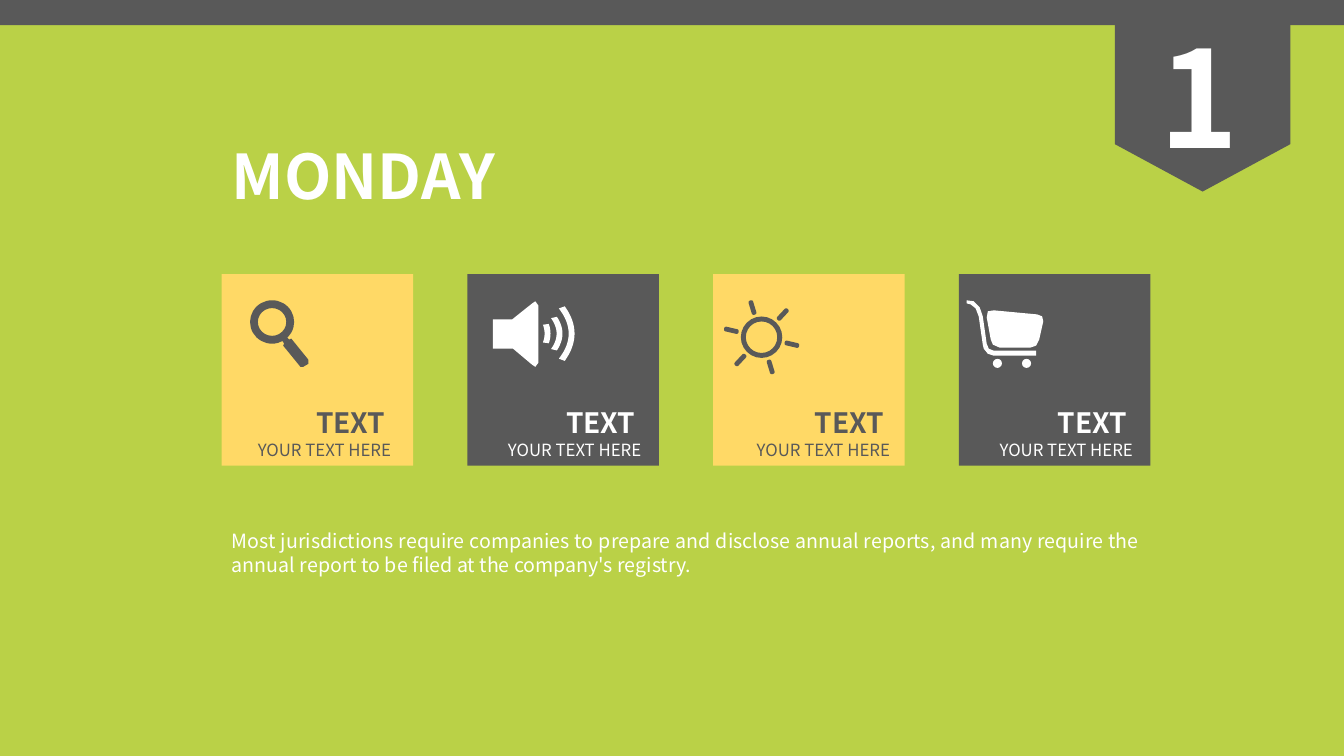
from math import cos, radians, sin

from pptx import Presentation
from pptx.dml.color import RGBColor
from pptx.enum.shapes import MSO_SHAPE as Kind
from pptx.enum.text import MSO_ANCHOR as Anchor, MSO_AUTO_SIZE as Fit, PP_ALIGN as Align
from pptx.oxml.xmlchemy import OxmlElement as Element
from pptx.util import Pt

LIME = RGBColor(0xBA, 0xD1, 0x47)
GOLD = RGBColor(0xFF, 0xD9, 0x66)
GREY = RGBColor(0x59, 0x59, 0x59)
WHITE = RGBColor(0xFF, 0xFF, 0xFF)
FONT = "Noto Sans CJK SC"

# Icon outlines, in points from the corner of their card
GRIP = [(49.7, 46.1), (48.2, 46.8), (46.8, 45.4), (43.2, 47.5), (44.6, 49.7),
        (43.9, 51.1), (56.2, 66.2), (58.3, 66.2), (61.9, 64.1), (61.9, 61.2)]
HORN = [(18.2, 32.4), (31.9, 32.4), (46.3, 20.9), (48.5, 19.4), (50.6, 22.3),
        (50.6, 63.4), (48.5, 66.2), (46.3, 64.8), (32.6, 53.3), (18.2, 53.3)]
FRAME = [(5.5, 18.7), (10.6, 19.4), (14.9, 23.8), (17.1, 30.2), (19.9, 49.7),
         (21.4, 53.3), (25, 54.7), (55.2, 54.7), (55.2, 58.3), (25, 58.3),
         (20.7, 56.9), (17.8, 53.3), (17.1, 50.4), (14.2, 30.2), (12, 24.5),
         (8.4, 21.6), (5.5, 20.9)]
BASKET = [(19.9, 31), (20.7, 26.6), (25, 25.9), (55.9, 28.8), (59.5, 30.2),
          (60.3, 33.8), (57.4, 46.8), (55.2, 51.1), (50.9, 52.6), (29.3, 52.6),
          (24.3, 50.4), (22.8, 46.8)]


class Deck:
    def __init__(self, width, height):
        self.prs = Presentation()
        self.prs.slide_width, self.prs.slide_height = Pt(width), Pt(height)
        self.slide = self.prs.slides.add_slide(self.prs.slide_layouts[1])
        self.slide.background.fill.solid()
        self.slide.background.fill.fore_color.rgb = LIME

    def paint(self, shape, color):
        shape.shadow.inherit = False
        shape.fill.solid()
        shape.fill.fore_color.rgb = color
        shape.line.fill.background()
        return shape

    def shape(self, kind, x, y, w, h, color, turn=0, adj=None):
        item = self.slide.shapes.add_shape(kind, Pt(x), Pt(y), Pt(w), Pt(h))
        item.rotation = turn
        if adj is not None:
            item.adjustments[0] = adj
        return self.paint(item, color)

    def outline(self, x, y, points, color):
        spots = [(Pt(x + a), Pt(y + b)) for a, b in points]
        pen = self.slide.shapes.build_freeform(*spots[0])
        pen.add_line_segments(spots[1:], close=True)
        return self.paint(pen.convert_to_shape(), color)

    def letter(self, box, text, size, color, bold=False, align=Align.LEFT, wrap=False):
        frame = box.text_frame
        frame.text = text
        frame.word_wrap = wrap
        frame.auto_size = Fit.NONE
        frame.vertical_anchor = Anchor.TOP
        para = frame.paragraphs[0]
        para.alignment = align
        para.space_before = Pt(0)
        font = para.font
        font.name, font.size, font.bold = FONT, Pt(size), bold
        font.color.rgb = color
        return para

    def label(self, x, y, w, h, *args, **style):
        box = self.slide.shapes.add_textbox(Pt(x), Pt(y), Pt(w), Pt(h))
        self.letter(box, *args, **style)

    def fill(self, index, x, y, w, h, *args, **style):
        box = self.slide.placeholders[index]
        box.left, box.top, box.width, box.height = Pt(x), Pt(y), Pt(w), Pt(h)
        return self.letter(box, *args, **style)

    def card(self, x, y, side, back, ink, mid, icon):
        self.shape(Kind.RECTANGLE, x, y, side, side, back)
        icon(self, x, y, ink)
        self.label(x + mid - 17.3, y + 90, 72, 31.7, "TEXT", 20, ink,
                   bold=True, align=Align.CENTER)
        self.label(x + mid - 57.6, y + 114.5, 115.2, 21.6, "YOUR TEXT HERE", 12, ink,
                   align=Align.CENTER)


def lens(deck, x, y, ink):
    deck.shape(Kind.DONUT, x + 20.2, y + 18.7, 31.5, 31, ink, adj=0.18)
    deck.outline(x, y, GRIP, ink)


def sound(deck, x, y, ink):
    deck.outline(x, y, HORN, ink)
    steps = [i / 8 for i in range(-8, 9)]
    # Each wave: right edge, half height, bulge
    for right, half, bulge in ((59.3, 6.9, 1.2), (67.9, 12, 4), (76.5, 19.5, 7)):
        outer = [(right - bulge * t * t, 42.5 + half * t) for t in steps]
        inner = [(a - 4.2, 42.5 + (b - 42.5) * 0.92) for a, b in reversed(outer)]
        deck.outline(x, y, outer + inner, ink)


def sun(deck, x, y, ink):
    mid_x, mid_y = x + 34.6, y + 45.1
    deck.shape(Kind.DONUT, mid_x - 14.8, mid_y - 14.8, 29.6, 29.6, ink, adj=0.12)
    for turn in range(13, 360, 60):
        ray_x = mid_x + 22.2 * cos(radians(turn))
        ray_y = mid_y + 22.2 * sin(radians(turn))
        deck.shape(Kind.ROUNDED_RECTANGLE, ray_x - 5.3, ray_y - 1.7, 10.6, 3.4,
                   ink, turn, 0.4)


def cart(deck, x, y, ink):
    for wheel in (24.3, 45.1):
        deck.shape(Kind.OVAL, x + wheel, y + 60.5, 6.5, 6.5, ink)
    for points in (FRAME, BASKET):
        deck.outline(x, y, points, ink)


def main():
    deck = Deck(960, 540)

    # Title and body
    deck.fill(0, 158.4, 95, 227.5, 60.5, "MONDAY", 44, WHITE, bold=True)
    para = deck.fill(1, 158.4, 374.4, 663.1, 41,
                     "Most jurisdictions require companies to prepare and disclose "
                     "annual reports, and many require the annual report to be filed "
                     "at the company's registry.",
                     14, WHITE, align=Align.JUSTIFY, wrap=True)
    props = para._p.get_or_add_pPr()
    props.set("marL", "0")
    props.set("indent", "0")
    props.insert_element_before(Element("a:buNone"), "a:tabLst", "a:defRPr", "a:extLst")

    # Cards
    cards = [(GOLD, GREY, 73.4, lens), (GREY, WHITE, 76.6, sound),
             (GOLD, GREY, 78.8, sun), (GREY, WHITE, 76.8, cart)]
    for i, card in enumerate(cards):
        deck.card(158.4 + 175.5 * i, 195.8, 136.8, *card)

    # Numbered ribbon and top bar
    deck.shape(Kind.PENTAGON, 790.6, 5.8, 136.8, 125.3, GREY, 90, 0.27)
    deck.label(821.5, 6.5, 74.2, 123.8, "1", 96, WHITE, bold=True)
    deck.shape(Kind.RECTANGLE, 0, -2.9, 960, 20.9, GREY)

    deck.prs.save("out.pptx")


if __name__ == "__main__":
    main()
